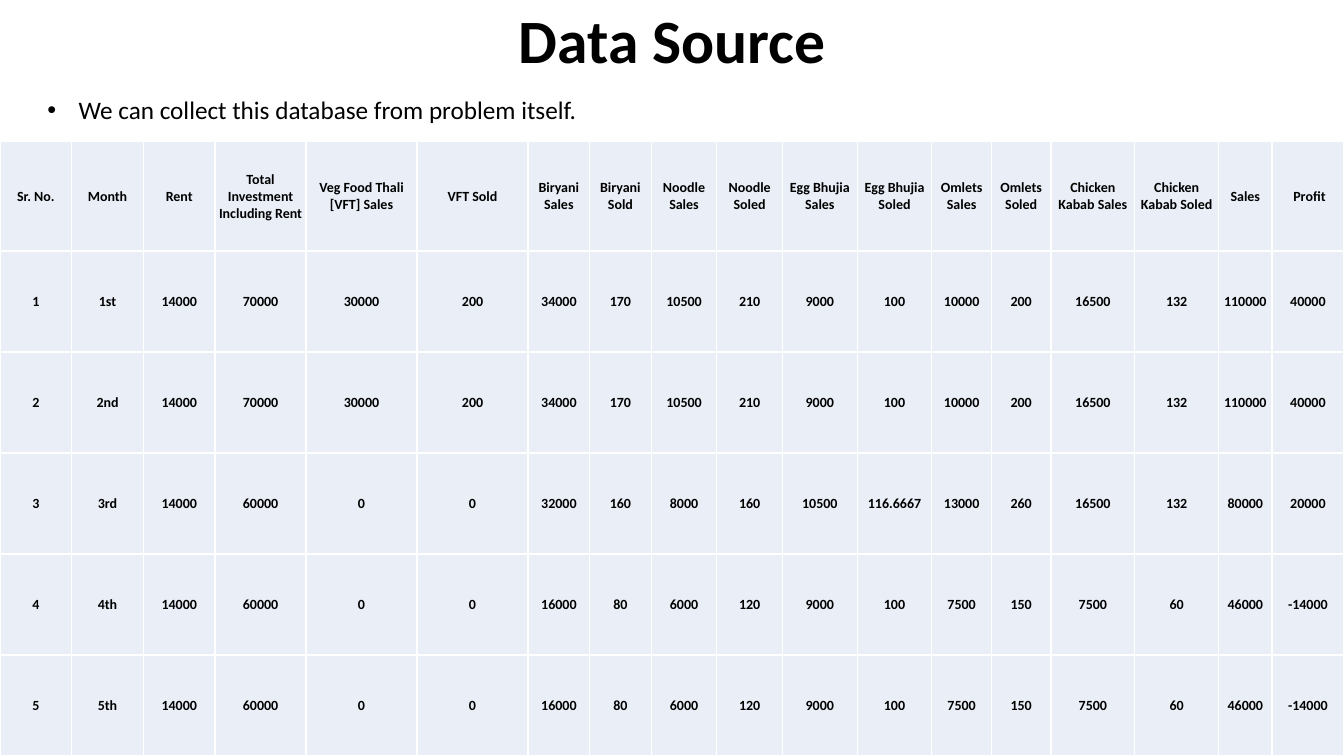
from lxml import etree
from pptx import Presentation
from pptx import util as u
from pptx.dml import color
from pptx.enum import text
from pptx.oxml import ns

INK, PALE, WHITE = "000000", "EAEFF7", "FFFFFF"
WIDTHS = [0.71, 0.71, 0.71, 0.9, 1.1, 1.1, 0.61, 0.61, 0.65, 0.65,
          0.74, 0.74, 0.59, 0.59, 0.83, 0.83, 0.53, 0.71]
HEAD = ["Sr. No.", "Month", "Rent", "Total Investment Including Rent",
        "Veg Food Thali [VFT] Sales", "VFT Sold", "Biryani Sales",
        "Biryani Sold", "Noodle Sales", "Noodle Soled", "Egg Bhujia Sales",
        "Egg Bhujia Soled", "Omlets Sales", "Omlets Soled",
        "Chicken Kabab Sales", "Chicken Kabab Soled", "Sales", " Profit"]
HIGH = [14000, 70000, 30000, 200, 34000, 170, 10500, 210, 9000, 100,
        10000, 200, 16500, 132, 110000, 40000]
MID = [14000, 60000, 0, 0, 32000, 160, 8000, 160, 10500, 116.6667,
       13000, 260, 16500, 132, 80000, 20000]
LOW = [14000, 60000, 0, 0, 16000, 80, 6000, 120, 9000, 100,
       7500, 150, 7500, 60, 46000, -14000]
MONTHS = {"1st": HIGH, "2nd": HIGH, "3rd": MID, "4th": LOW, "5th": LOW}


def rgb(code):
    """Turn a hex string into a colour."""
    return color.RGBColor.from_string(code)


def write(frame, words, size=10, bold=False, ink=INK,
          align=text.PP_ALIGN.LEFT, lines=1.0):
    """Put formatted words into the first paragraph of a frame."""
    para = frame.paragraphs[0]
    para.alignment, para.line_spacing = align, lines
    para.space_before = u.Pt(0)
    run = para.add_run()
    run.text = words
    font = run.font
    font.name, font.size, font.bold = "Calibri", u.Pt(size), bold
    font.color.rgb = rgb(ink)
    return para


def place(shape, box):
    """Move a placeholder to a box given in inches."""
    shape.left, shape.top, shape.width, shape.height = map(u.Inches, box)
    shape.text_frame.auto_size = text.MSO_AUTO_SIZE.NONE


def title(slide, box):
    """Fill the title placeholder."""
    shape = slide.shapes.title
    place(shape, box)
    frame = shape.text_frame
    frame.vertical_anchor = text.MSO_ANCHOR.MIDDLE
    write(frame, "Data Source", size=44, bold=True,
          align=text.PP_ALIGN.CENTER, lines=0.9)


def note(slide, box):
    """Fill the body placeholder with one bulleted line."""
    shape = slide.placeholders[1]
    place(shape, box)
    frame = shape.text_frame
    frame.word_wrap = False
    para = write(frame, "We can collect this database from problem itself.",
                 size=18)
    props = para._p.get_or_add_pPr()
    hang = u.Inches(0.31)
    props.set("marL", str(hang))
    props.set("indent", str(-hang))
    font = etree.SubElement(props, ns.qn("a:buFont"))
    font.set("typeface", "Arial")
    mark = etree.SubElement(props, ns.qn("a:buChar"))
    mark.set("char", "\u2022")


def edge(cell, ink=WHITE, width=1):
    """Draw all four borders of a cell."""
    props = cell._tc.get_or_add_tcPr()
    for side in "LRTB":
        line = etree.SubElement(props, ns.qn("a:ln" + side))
        line.set("w", str(u.Pt(width)))
        fill = etree.SubElement(line, ns.qn("a:solidFill"))
        etree.SubElement(fill, ns.qn("a:srgbClr")).set("val", ink)


def style(cell, words):
    """Format one table cell and write its words."""
    edge(cell)
    cell.fill.solid()
    cell.fill.fore_color.rgb = rgb(PALE)
    cell.vertical_anchor = text.MSO_ANCHOR.MIDDLE
    cell.margin_left = cell.margin_right = cell.margin_top = u.Inches(0.01)
    cell.margin_bottom = 0
    write(cell.text_frame, words, bold=True, align=text.PP_ALIGN.CENTER)


def grid(slide, box, top=1.09):
    """Build the monthly table, sharing the box among columns and rows."""
    rows = [HEAD] + [[n, month, *vals] for n, (month, vals)
                     in enumerate(MONTHS.items(), 1)]
    table = slide.shapes.add_table(len(rows), len(HEAD),
                                   *map(u.Inches, box)).table
    scale = box[2] / sum(WIDTHS)
    for col, width in zip(table.columns, WIDTHS):
        col.width = u.Inches(width * scale)
    rest = (box[3] - top) / len(MONTHS)
    for r, vals in enumerate(rows):
        table.rows[r].height = u.Inches(rest if r else top)
        for c, val in enumerate(vals):
            style(table.cell(r, c), str(val))


def main():
    """Build and save the slide."""
    deck = Presentation()
    deck.slide_width, deck.slide_height = u.Inches(13.33), u.Inches(7.5)
    slide = deck.slides.add_slide(deck.slide_layouts[1])
    title(slide, (0.92, -0.03, 11.5, 0.92))
    grid(slide, (0, 1.4, 13.33, 6.1))
    note(slide, (0.37, 0.89, 5.47, 0.4))
    deck.save("out.pptx")


main()
